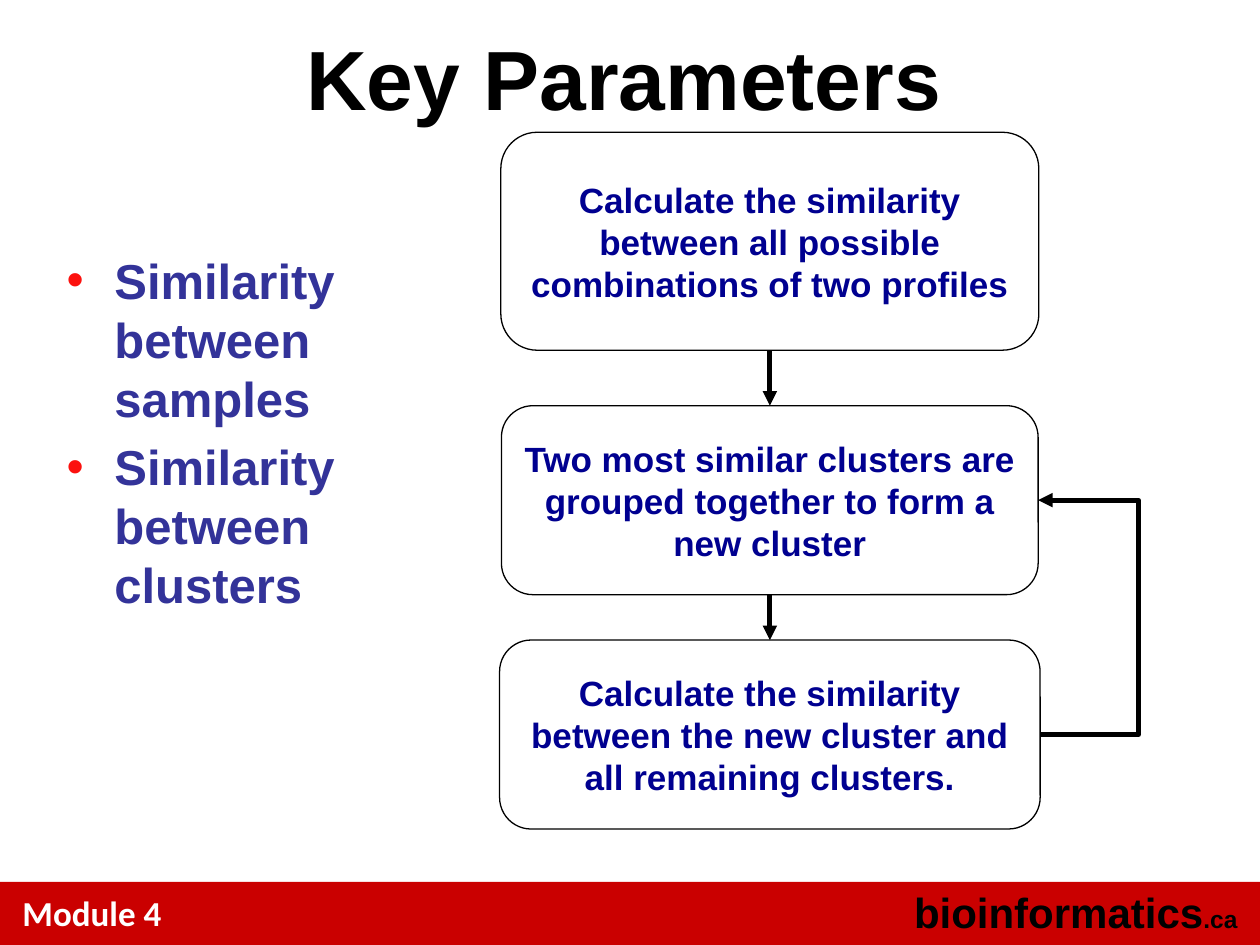
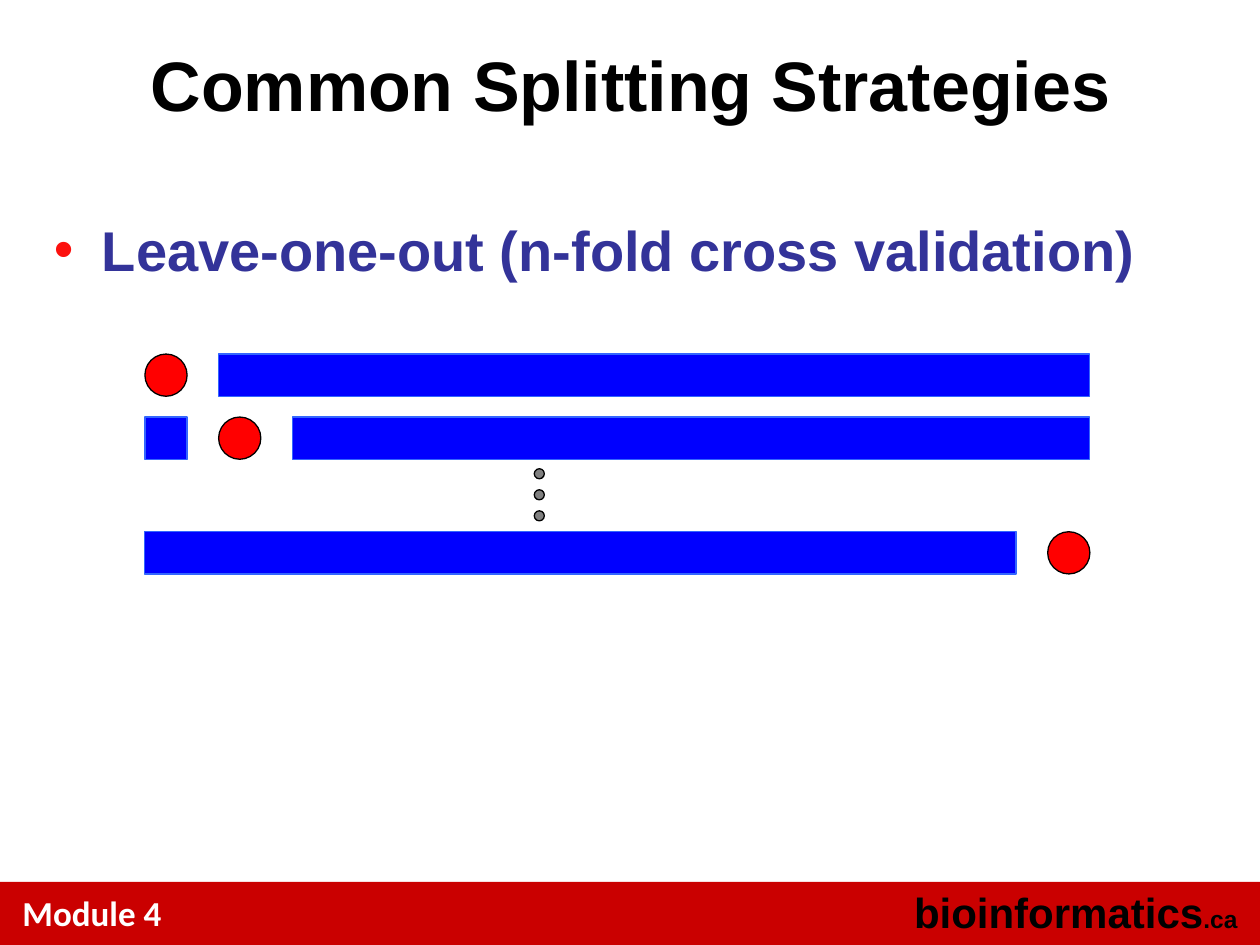
from dataclasses import dataclass
from itertools import pairwise
from typing import Optional

from lxml.etree import SubElement
from pptx import Presentation
from pptx.dml.color import RGBColor
from pptx.enum.shapes import MSO_CONNECTOR as Connector, MSO_SHAPE as Preset
from pptx.enum.text import MSO_ANCHOR as Anchor, MSO_AUTO_SIZE as AutoSize, PP_ALIGN as Align
from pptx.oxml.ns import qn
from pptx.util import Inches, Pt

# The slide is a grid of 100 columns by 75 rows of square cells.
COLUMNS, ROWS = 100, 75
CELL = Inches(10) // COLUMNS

BLACK = RGBColor(0x00, 0x00, 0x00)
WHITE = RGBColor(0xFF, 0xFF, 0xFF)
BAND_RED = RGBColor(0xCA, 0x00, 0x00)
BULLET_RED = RGBColor(0xFC, 0x11, 0x0E)
BODY_BLUE = RGBColor(0x33, 0x33, 0x99)
STEP_NAVY = RGBColor(0x00, 0x00, 0x90)
TRAIN_BLUE = RGBColor(0x00, 0x00, 0xFF)
TRAIN_EDGE = RGBColor(0x33, 0x66, 0xFF)
TEST_RED = RGBColor(0xFF, 0x00, 0x00)
DOT_GREY = RGBColor(0x80, 0x80, 0x80)

THIN, THICK = Pt(0.75), Pt(2.75)


@dataclass(frozen=True)
class Area:
    """A rectangle in grid columns and rows."""
    left: float
    top: float
    width: float
    height: float

    def emu(self) -> tuple:
        return tuple(round(n * CELL) for n in (self.left, self.top, self.width, self.height))


@dataclass(frozen=True)
class TextStyle:
    size: float
    color: RGBColor
    font: str = "Arial"


@dataclass(frozen=True)
class Step:
    top: float
    width: float
    height: float
    text: str


@dataclass(frozen=True)
class SplitRow:
    """One split: single training cells, the test sample, and a bar filling the rest."""
    top: float
    pieces: tuple


BAND = Area(0, 70, COLUMNS, 5)
MODULE_AREA = Area(0.8, 70.3, 73.3, 4.3)
SITE_AREA = Area(69.7, 69.9, 29.5, 5.1)

FLOW_CENTRE = 61.1
LOOP_COLUMN = 90.4
STEPS = (
    Step(10.5, 42.7, 17.3,
         "Calculate the similarity between all possible combinations of two profiles"),
    Step(32.2, 42.6, 15,
         "Two most similar clusters are grouped together to form a new cluster"),
    Step(50.8, 42.9, 15,
         "Calculate the similarity between the new cluster and all remaining clusters."),
)

SPLIT_LEFT, SPLIT_WIDTH = 11.5, 75
SAMPLE, SAMPLE_GAP = 3.35, 2.5
SPLITS = (
    SplitRow(28.1, ("test", "bar")),
    SplitRow(33.1, ("cell", "test", "bar")),
    SplitRow(42.2, ("bar", "test")),
)
DOT_LEFT, DOT_TOP, DOT_STEP, DOT_SIZE = 42.4, 37.2, 1.67, 0.8


def style_runs(para, style: TextStyle) -> None:
    for span in para.runs:
        span.font.name = style.font
        span.font.size = Pt(style.size)
        span.font.bold = True
        span.font.color.rgb = style.color


def add_text(slide, area: Area, text: str, style: TextStyle, align: Align = Align.LEFT):
    box = slide.shapes.add_textbox(*area.emu())
    frame = box.text_frame
    frame.word_wrap = True
    frame.text = text
    for para in frame.paragraphs:
        para.alignment = align
        style_runs(para, style)
    return box


def add_preset(slide, preset: Preset, area: Area, fill: Optional[RGBColor],
               edge: Optional[RGBColor] = BLACK):
    shape = slide.shapes.add_shape(preset, *area.emu())
    shape.shadow.inherit = False
    if fill is None:
        shape.fill.background()
    else:
        shape.fill.solid()
        shape.fill.fore_color.rgb = fill
    if edge is None:
        shape.line.fill.background()
    else:
        shape.line.color.rgb = edge
        shape.line.width = THIN
    return shape


def add_arrow(slide, kind: Connector, start: tuple, end: tuple):
    arrow = slide.shapes.add_connector(kind, *start, *end)
    arrow.line.color.rgb = BLACK
    arrow.line.width = THICK
    properties = arrow.element.spPr
    SubElement(properties.find(qn("a:ln")), qn("a:tailEnd"), type="triangle")
    SubElement(properties, qn("a:effectLst"))
    return arrow


def add_bullets(slide, area: Area, items: list[str], size: float) -> None:
    box = add_text(slide, area, "\n".join(items), TextStyle(size, BODY_BLUE))
    for index, para in enumerate(box.text_frame.paragraphs):
        properties = para._p.get_or_add_pPr()
        properties.set("marL", str(Inches(0.38)))
        properties.set("indent", str(-Inches(0.38)))
        color = SubElement(properties, qn("a:buClr"))
        SubElement(color, qn("a:srgbClr"), val=str(BULLET_RED))
        SubElement(properties, qn("a:buFont"), typeface="Arial")
        SubElement(properties, qn("a:buChar"), char="•")
        if index:
            para.space_before = Pt(size * 0.2)


def add_slide(deck, title: str, title_area: Area, title_size: float):
    """Add a slide with its title and the shared footer band."""
    slide = deck.slides.add_slide(deck.slide_layouts[5])
    add_preset(slide, Preset.RECTANGLE, BAND, BAND_RED, None)
    add_text(slide, MODULE_AREA, "Module 4", TextStyle(20, WHITE, "Calibri"))
    site = add_text(slide, SITE_AREA, "bioinformatics", TextStyle(24, BLACK), Align.RIGHT)
    para = site.text_frame.paragraphs[0]
    para.add_run().text = ".ca"
    style_runs(para, TextStyle(24, BLACK))
    para.runs[-1].font.size = Pt(14)

    heading = slide.shapes.title
    heading.left, heading.top, heading.width, heading.height = title_area.emu()
    frame = heading.text_frame
    frame.text = title
    frame.auto_size = AutoSize.NONE
    frame.vertical_anchor = Anchor.MIDDLE
    frame.paragraphs[0].alignment = Align.CENTER
    style_runs(frame.paragraphs[0], TextStyle(title_size, BLACK))
    return slide


def add_step(slide, step: Step):
    area = Area(FLOW_CENTRE - step.width / 2, step.top, step.width, step.height)
    box = add_preset(slide, Preset.ROUNDED_RECTANGLE, area, None)
    frame = box.text_frame
    frame.word_wrap = True
    frame.text = step.text
    frame.vertical_anchor = Anchor.MIDDLE
    frame.paragraphs[0].alignment = Align.CENTER
    style_runs(frame.paragraphs[0], TextStyle(20, STEP_NAVY))
    return box


def right_middle(box) -> tuple:
    return box.left + box.width, box.top + box.height // 2


def add_loop(slide, source, target) -> None:
    """Lead an elbow arrow out to the loop column and back to the target."""
    start = right_middle(source)
    loop = add_arrow(slide, Connector.ELBOW, start, right_middle(target))
    reach = LOOP_COLUMN * CELL - start[0]
    bend = -round(reach / loop.width * 100000)
    guides = loop.element.spPr.find(qn("a:prstGeom")).find(qn("a:avLst"))
    SubElement(guides, qn("a:gd"), name="adj1", fmla=f"val {bend}")


def add_split(slide, row: SplitRow) -> None:
    others = len(row.pieces) - 1
    bar_width = SPLIT_WIDTH - others * (SAMPLE + SAMPLE_GAP)
    left = SPLIT_LEFT
    for piece in row.pieces:
        width = bar_width if piece == "bar" else SAMPLE
        area = Area(left, row.top, width, SAMPLE)
        if piece == "test":
            add_preset(slide, Preset.OVAL, area, TEST_RED)
        else:
            add_preset(slide, Preset.RECTANGLE, area, TRAIN_BLUE, TRAIN_EDGE)
        left += width + SAMPLE_GAP


def build_parameters(deck) -> None:
    slide = add_slide(deck, "Key Parameters", Area(3.5, 0.3, 92, 11.6), 48)
    add_bullets(slide, Area(4.3, 19.4, 36.2, 47.7),
                ["Similarity between samples", "Similarity between clusters"], 28)
    boxes = [add_step(slide, step) for step in STEPS]
    for upper, lower in pairwise(boxes):
        arrow = add_arrow(slide, Connector.STRAIGHT, (0, 0), (0, 0))
        arrow.begin_connect(upper, 2)
        arrow.end_connect(lower, 0)
    add_loop(slide, boxes[2], boxes[1])


def build_splitting(deck) -> None:
    slide = add_slide(deck, "Common Splitting Strategies", Area(5.5, 1, 89.1, 11.2), 40)
    add_bullets(slide, Area(3.3, 16.6, 91.2, 42),
                ["Leave-one-out (n-fold cross validation)"], 32)
    for row in SPLITS:
        add_split(slide, row)
    for index in range(3):
        area = Area(DOT_LEFT, DOT_TOP + index * DOT_STEP, DOT_SIZE, DOT_SIZE)
        add_preset(slide, Preset.OVAL, area, DOT_GREY)


def main() -> None:
    deck = Presentation()
    deck.slide_width, deck.slide_height = COLUMNS * CELL, ROWS * CELL
    build_parameters(deck)
    build_splitting(deck)
    deck.save("out.pptx")


if __name__ == "__main__":
    main()
